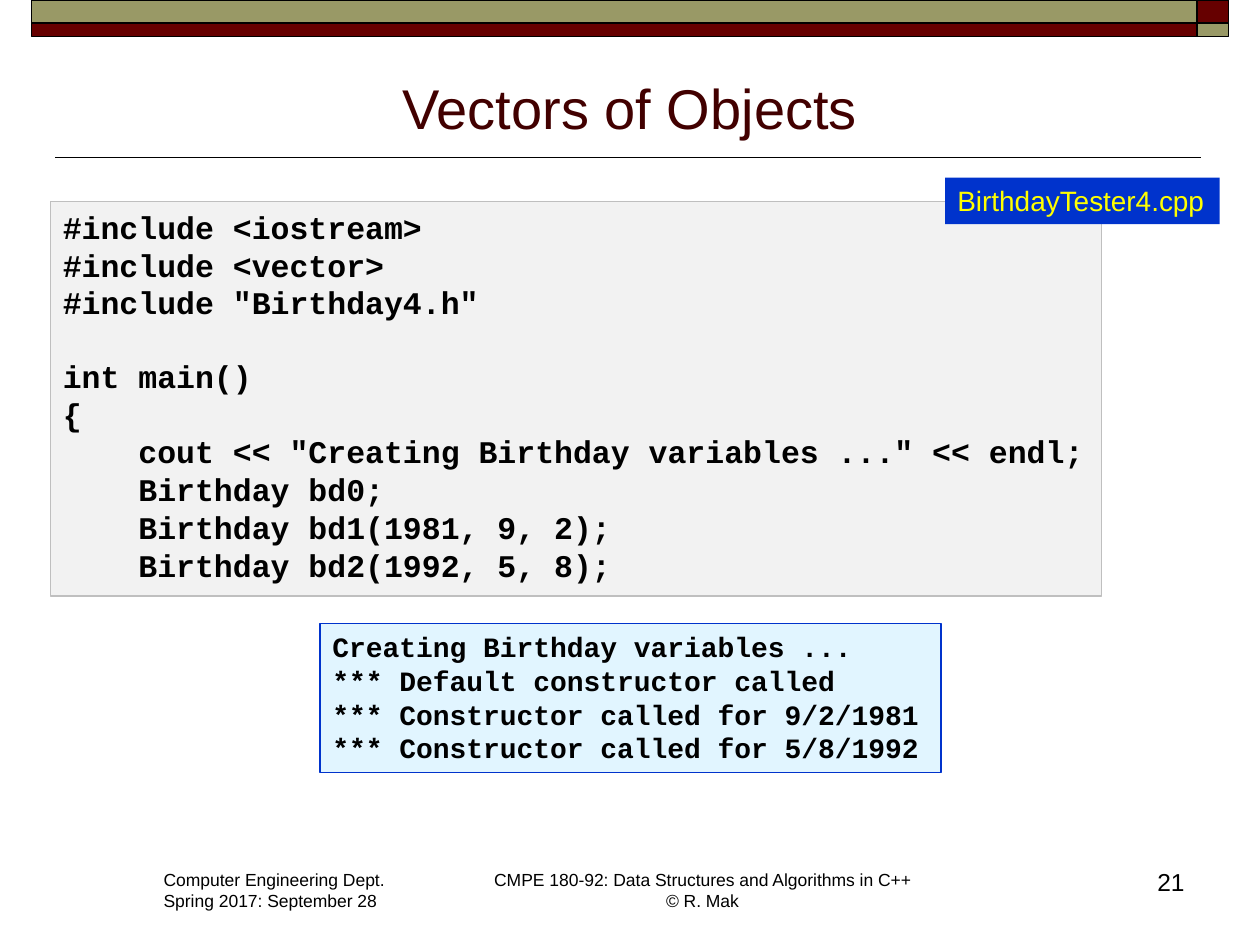
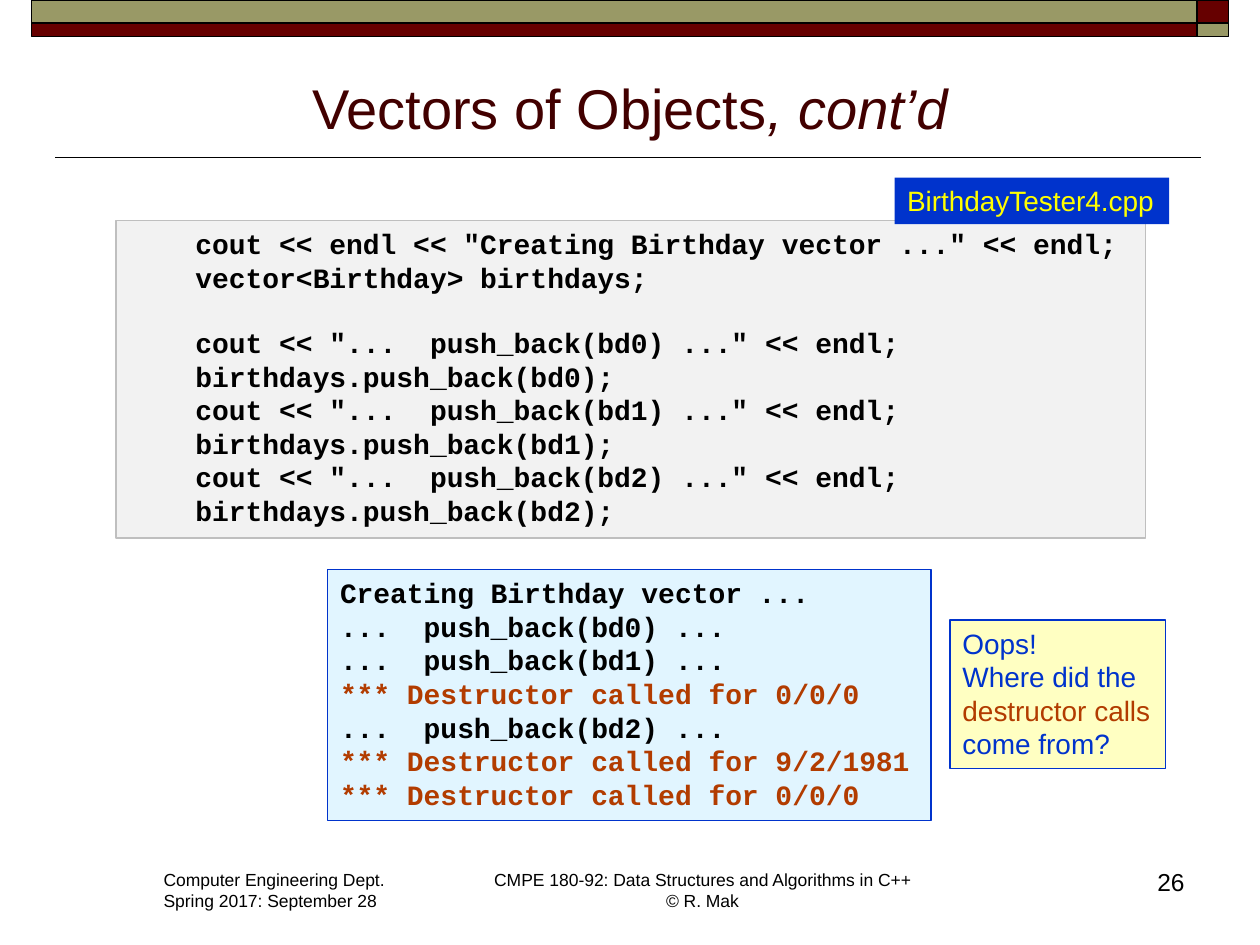
"""Build two lecture slides about vectors of objects."""
from pptx import Presentation, util as u
from pptx.dml.color import RGBColor
from pptx.enum import shapes, text
from pptx.oxml import parse_xml
from pptx.oxml.ns import nsdecls

COLUMNS, ROWS = 100, 75
WIDTH, HEIGHT = u.Inches(10), u.Inches(7.5)
TITLE_ONLY = 5
SANS, MONO = "Arial", "Courier New"
MONO_ADVANCE, MONO_LINE = 0.6, 1.13
LEFT, CENTER, RIGHT = text.PP_ALIGN.LEFT, text.PP_ALIGN.CENTER, text.PP_ALIGN.RIGHT

COLORS = {
    "maroon": "660000",
    "olive": "999966",
    "title": "420000",
    "black": "000000",
    "code": "F2F2F2",
    "code_edge": "BFBFBF",
    "blue": "0033CC",
    "yellow": "FFFF00",
    "output": "E1F5FF",
    "note": "FFFFC2",
    "rust": "B23C00",
}

FOOTER_LEFT = "Computer Engineering Dept.\nSpring 2017: September 28"
FOOTER_CENTER = "CMPE 180-92: Data Structures and Algorithms in C++\v© R. Mak"
SOURCE_FILE = "BirthdayTester4.cpp"

MAIN_CODE = """\
#include <iostream>
#include <vector>
#include "Birthday4.h"

int main()
{
    cout << "Creating Birthday variables ..." << endl;
    Birthday bd0;
    Birthday bd1(1981, 9, 2);
    Birthday bd2(1992, 5, 8);"""

MAIN_OUTPUT = """\
Creating Birthday variables ...
*** Default constructor called
*** Constructor called for 9/2/1981
*** Constructor called for 5/8/1992"""

VECTOR_CODE = """\
    cout << endl << "Creating Birthday vector ..." << endl;
    vector<Birthday> birthdays;

    cout << "...\u00a0 push_back(bd0) ..." << endl;
    birthdays.push_back(bd0);
    cout << "...\u00a0 push_back(bd1) ..." << endl;
    birthdays.push_back(bd1);
    cout << "...\u00a0 push_back(bd2) ..." << endl;
    birthdays.push_back(bd2);"""

VECTOR_OUTPUT = """\
Creating Birthday vector ...
...\u00a0 push_back(bd0) ...
...\u00a0 push_back(bd1) ...
*** Destructor called for 0/0/0
...\u00a0 push_back(bd2) ...
*** Destructor called for 9/2/1981
*** Destructor called for 0/0/0"""

QUESTION = "Oops!\nWhere did the\ndestructor calls\ncome from?"


def color(name):
    """Return the named palette colour."""
    return RGBColor.from_string(COLORS[name])


def place(column, row, columns, rows):
    """Turn grid cells into left, top, width and height."""
    return (
        round(WIDTH * column / COLUMNS),
        round(HEIGHT * row / ROWS),
        round(WIDTH * columns / COLUMNS),
        round(HEIGHT * rows / ROWS),
    )


def set_font(font, name, size, ink, bold=False):
    """Set the look of a font."""
    font.name, font.size, font.bold = name, u.Pt(size), bold
    font.color.rgb = color(ink)


def write(frame, content, size, ink="black", name=SANS, align=LEFT, highlight=None):
    """Write lines; leading spaces become indents and empty lines become spacing."""
    frame.word_wrap = True
    frame.vertical_anchor = text.MSO_ANCHOR.TOP
    paragraph, gap = frame.paragraphs[0], 0
    for number, line in enumerate(content.split("\n")):
        if not line:
            gap += size * MONO_LINE
            continue
        if number:
            paragraph = frame.add_paragraph()
        words = line.lstrip(" ")
        indent = (len(line) - len(words)) * size * MONO_ADVANCE
        paragraph.text, paragraph.alignment = words, align
        paragraph.space_before = u.Pt(gap)
        if indent:
            paragraph._p.get_or_add_pPr().set("marL", str(int(u.Pt(indent))))
        marked = highlight is not None and highlight in words
        set_font(paragraph.font, name, size, "rust" if marked else ink, name == MONO)
        gap = 0


def add_box(slide, cells, fill, edge=None, weight=0.75):
    """Add a filled rectangle with an optional outline."""
    box = slide.shapes.add_shape(shapes.MSO_SHAPE.RECTANGLE, *place(*cells))
    box.shadow.inherit = False
    box.fill.solid()
    box.fill.fore_color.rgb = color(fill)
    if edge:
        box.line.color.rgb = color(edge)
        box.line.width = u.Pt(weight)
    else:
        box.line.fill.background()
    return box


def add_text(slide, cells, content, size, align=LEFT):
    """Add a plain text box."""
    box = slide.shapes.add_textbox(*place(*cells))
    write(box.text_frame, content, size, align=align)


def add_bands(slide):
    """Draw the two-tone band across the top and the rule under the title."""
    left, split, right = 2.5, 95, 97.5
    for top, height, long_fill, short_fill in (
        (0, 1.8, "olive", "maroon"),
        (1.8, 1.1, "maroon", "olive"),
    ):
        add_box(slide, (left, top, split - left, height), long_fill, "black", 1)
        add_box(slide, (split, top, right - split, height), short_fill, "black", 1)
    x, y, length, _ = place(4.4, 12.5, 90.9, 0)
    rule = slide.shapes.add_connector(shapes.MSO_CONNECTOR.STRAIGHT, x + length, y, x, y)
    rule.line.color.rgb = color("black")
    rule.line.width = u.Pt(1)
    rule._element.spPr.append(parse_xml(f"<a:effectLst {nsdecls('a')}/>"))


def add_title(slide, title, suffix):
    """Format the title placeholder, with an italic suffix if given."""
    holder = slide.shapes.title
    holder.left, holder.top, holder.width, holder.height = place(5, 4.5, 90, 7.2)
    frame = holder.text_frame
    frame.vertical_anchor = text.MSO_ANCHOR.BOTTOM
    paragraph = frame.paragraphs[0]
    paragraph.alignment = CENTER
    set_font(paragraph.font, SANS, 32, "title")
    paragraph.add_run().text = title
    if suffix:
        run = paragraph.add_run()
        run.text, run.font.italic = suffix, True


def add_slide(presentation, number, suffix=""):
    """Add a slide with its title, bands and footers."""
    slide = presentation.slides.add_slide(presentation.slide_layouts[TITLE_ONLY])
    add_bands(slide)
    add_title(slide, "Vectors of Objects", suffix)
    add_text(slide, (12, 68.5, 19.8, 4.4), FOOTER_LEFT, 10)
    add_text(slide, (38, 68.5, 35.5, 4.4), FOOTER_CENTER, 10, CENTER)
    add_text(slide, (74.2, 68.3, 20.8, 5), str(number), 14, RIGHT)
    return slide


def add_code(slide, cells, code, size, label_column):
    """Add a code listing and its file name label."""
    listing = add_box(slide, cells, "code", "code_edge")
    write(listing.text_frame, code, size, name=MONO)
    label = add_box(slide, (label_column, 14.1, 21.8, 3.7), "blue")
    write(label.text_frame, SOURCE_FILE, 16, "yellow")


def add_output(slide, cells, output, highlight=None):
    """Add a panel of program output."""
    panel = add_box(slide, cells, "output", "blue")
    write(panel.text_frame, output, 16, name=MONO, highlight=highlight)


def add_note(slide, cells, note, highlight):
    """Add a yellow note."""
    box = add_box(slide, cells, "note", "blue")
    write(box.text_frame, note, 16, "blue", highlight=highlight)


def main():
    """Build and save the presentation."""
    presentation = Presentation()
    presentation.slide_width, presentation.slide_height = WIDTH, HEIGHT

    slide = add_slide(presentation, 21)
    add_code(slide, (4, 16, 83.4, 31.3), MAIN_CODE, 18, 75)
    add_output(slide, (25.4, 49.5, 49.3, 11.8), MAIN_OUTPUT)

    slide = add_slide(presentation, 26, ", cont’d")
    add_code(slide, (9.2, 17.5, 81.7, 25.2), VECTOR_CODE, 16, 71)
    add_output(slide, (26, 45.2, 47.9, 19.9), VECTOR_OUTPUT, "Destructor")
    add_note(slide, (75.4, 49.2, 17.1, 11.8), QUESTION, "destructor")

    presentation.save("out.pptx")


main()
